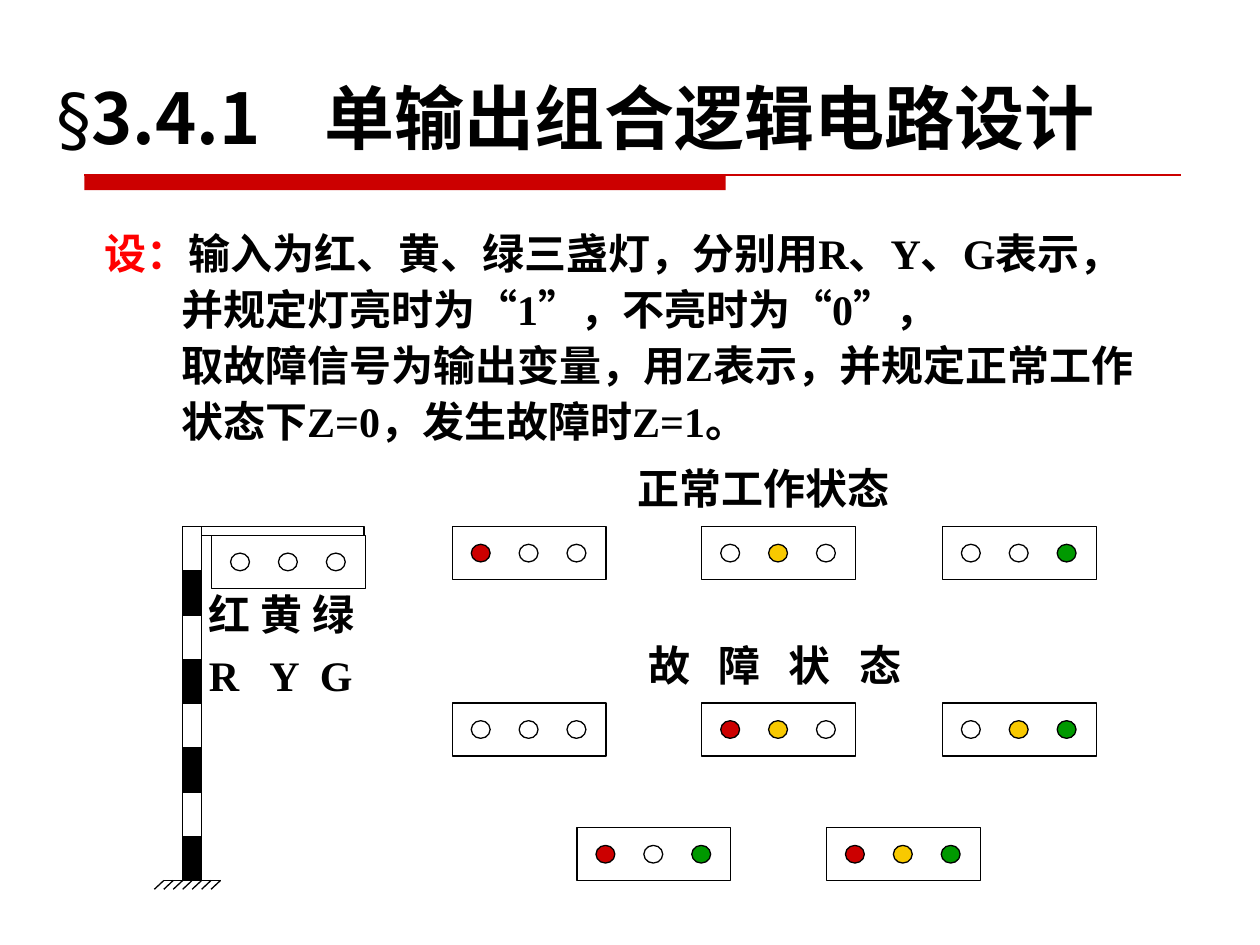
from lxml import etree
from pptx import Presentation
from pptx.dml.color import RGBColor
from pptx.enum.shapes import MSO_CONNECTOR, MSO_SHAPE
from pptx.enum.text import MSO_ANCHOR, PP_ALIGN
from pptx.oxml.ns import qn
from pptx.util import Inches, Pt

RECT, OVAL, LINE = MSO_SHAPE.RECTANGLE, MSO_SHAPE.OVAL, MSO_CONNECTOR.STRAIGHT
TOP, BOTTOM = MSO_ANCHOR.TOP, MSO_ANCHOR.BOTTOM
LEFT, CENTER = PP_ALIGN.LEFT, PP_ALIGN.CENTER
TIMES, SANS, CJK = "Times New Roman", "DejaVu Sans", "Noto Sans CJK SC"
BLACK, WHITE, RED = "000000", "FFFFFF", "CC0000"
LAMP_COLORS = {"R": RED, "Y": "F8C900", "G": "009900"}

# Content: a paragraph is a list of (text, run format)
TITLE = [[("§", {"font": SANS, "bold": False}), ("3.4.1\t", {"font": CJK}),
          ("单输出组合逻辑电路设计", {"font": SANS})]]
ASSUMPTIONS = [
    [("设：", {"color": "FF0000"}),
     ("输入为红、黄、绿三盏灯，分别用R、Y、G表示，", {})],
    [("并规定灯亮时为“1”，不亮时为“0”，", {})],
    [("取故障信号为输出变量，用Z表示，并规定正常工作", {})],
    [("状态下Z=0，发生故障时Z=1。", {})],
]
LAMP_NAMES = [[("红 黄 绿", {})], [("R\tY\tG", {})]]
NORMAL = [[("正常工作状态", {})]]
FAULT = [[("故 障 状 态", {"spacing": 5.4})]]

# Signal housings: column left edges, row top and lit lamps
WIDE_COLS, NARROW_COLS = (3.59, 5.57, 7.48), (4.58, 6.56)
SIGNAL_ROWS = [
    (WIDE_COLS, 4.18, ("R", "Y", "G")),
    (WIDE_COLS, 5.58, ("", "RY", "YG")),
    (NARROW_COLS, 6.57, ("RG", "RYG")),
]
POST_X, POST_Y, POST_W, BAND_H, BANDS = 1.45, 4.18, 0.15, 0.351, 8

prs = Presentation()
prs.slide_width, prs.slide_height = Inches(10), Inches(7.5)
s = prs.slides.add_slide(prs.slide_layouts[6])


def rgb(color):
    return RGBColor.from_string(color)


def add_text(paragraphs, x, y, w, h, size=24, font=TIMES, color=BLACK, bold=True,
             align=LEFT, anchor=TOP, line=29, before=0, indent=0, tabs=()):
    tf = s.shapes.add_textbox(Inches(x), Inches(y), Inches(w), Inches(h)).text_frame
    tf.word_wrap = True
    tf.vertical_anchor = anchor
    for i, runs in enumerate(paragraphs):
        p = tf.paragraphs[0] if i == 0 else tf.add_paragraph()
        p.alignment = align
        p.line_spacing = Pt(line)
        p.space_before = Pt(before if i else 0)
        pPr = p._p.get_or_add_pPr()
        if i and indent:
            pPr.set("marL", str(Inches(indent)))
        if tabs:
            tab_list = etree.SubElement(pPr, qn("a:tabLst"))
            for pos in tabs:
                etree.SubElement(tab_list, qn("a:tab"), pos=str(Inches(pos)), algn="l")
        for text, fmt in runs:
            r = p.add_run()
            r.text = text
            r.font.size = Pt(size)
            r.font.bold = fmt.get("bold", bold)
            r.font.color.rgb = rgb(fmt.get("color", color))
            r.font.name = fmt.get("font", font)
            rPr = r._r.get_or_add_rPr()
            etree.SubElement(rPr, qn("a:ea"), typeface=CJK)
            if "spacing" in fmt:
                rPr.set("spc", str(round(fmt["spacing"] * 100)))


def add_part(kind, x, y, w, h, fill=None, line=BLACK):
    sp = s.shapes.add_shape(kind, Inches(x), Inches(y), Inches(w), Inches(h))
    sp.shadow.inherit = False
    if fill:
        sp.fill.solid()
        sp.fill.fore_color.rgb = rgb(fill)
    else:
        sp.fill.background()
    if line:
        sp.line.color.rgb = rgb(line)
        sp.line.width = Pt(0.75)
    else:
        sp.line.fill.background()


def add_line(x1, y1, x2, y2, color=BLACK):
    c = s.shapes.add_connector(LINE, Inches(x1), Inches(y1), Inches(x2), Inches(y2))
    c.line.color.rgb = rgb(color)
    c.line.width = Pt(0.75)
    etree.SubElement(c._element.spPr, qn("a:effectLst"))


def add_signal(x, y, lit=""):
    add_part(RECT, x, y, 1.22, 0.42)
    for i, (lamp, color) in enumerate(LAMP_COLORS.items()):
        add_part(OVAL, x + 0.15 + 0.38 * i, y + 0.14, 0.15, 0.14,
                 fill=color if lamp in lit else None)


# Title and its two-weight rule
add_text(TITLE, 0.35, 0.34, 9.65, 0.97, size=40, anchor=BOTTOM, line=48, tabs=[2.13])
add_part(RECT, 0.67, 1.39, 5.09, 0.12, fill=RED, line=None)
add_line(0.67, 1.39, 9.37, 1.39, RED)

# Assumptions
add_text(ASSUMPTIONS, 0.73, 1.75, 9, 1.83, before=3, indent=0.61)

# Striped post, ground hatching and arm
for i in range(BANDS):
    add_part(RECT, POST_X, POST_Y + BAND_H * i, POST_W, BAND_H,
             fill=BLACK if i % 2 else None)
ground = POST_Y + BAND_H * BANDS
add_line(1.3, ground, 1.75, ground)
for i in range(7):
    x = 1.3 + 0.075 * i
    add_line(x, ground, x - 0.075, ground + 0.07)
add_part(RECT, POST_X + POST_W, POST_Y, 1.29, 0.07)
add_signal(1.68, 4.25)
add_text(LAMP_NAMES, 1.56, 4.74, 1.45, 0.87, line=20, before=15, tabs=[0.48, 0.88])

# Working and fault states
add_text(NORMAL, 4.96, 3.62, 2.37, 0.5)
add_text(FAULT, 4.66, 5.02, 2.98, 0.5, align=CENTER)
for cols, y, states in SIGNAL_ROWS:
    for x, lit in zip(cols, states):
        add_signal(x, y, lit)

prs.save("out.pptx")
